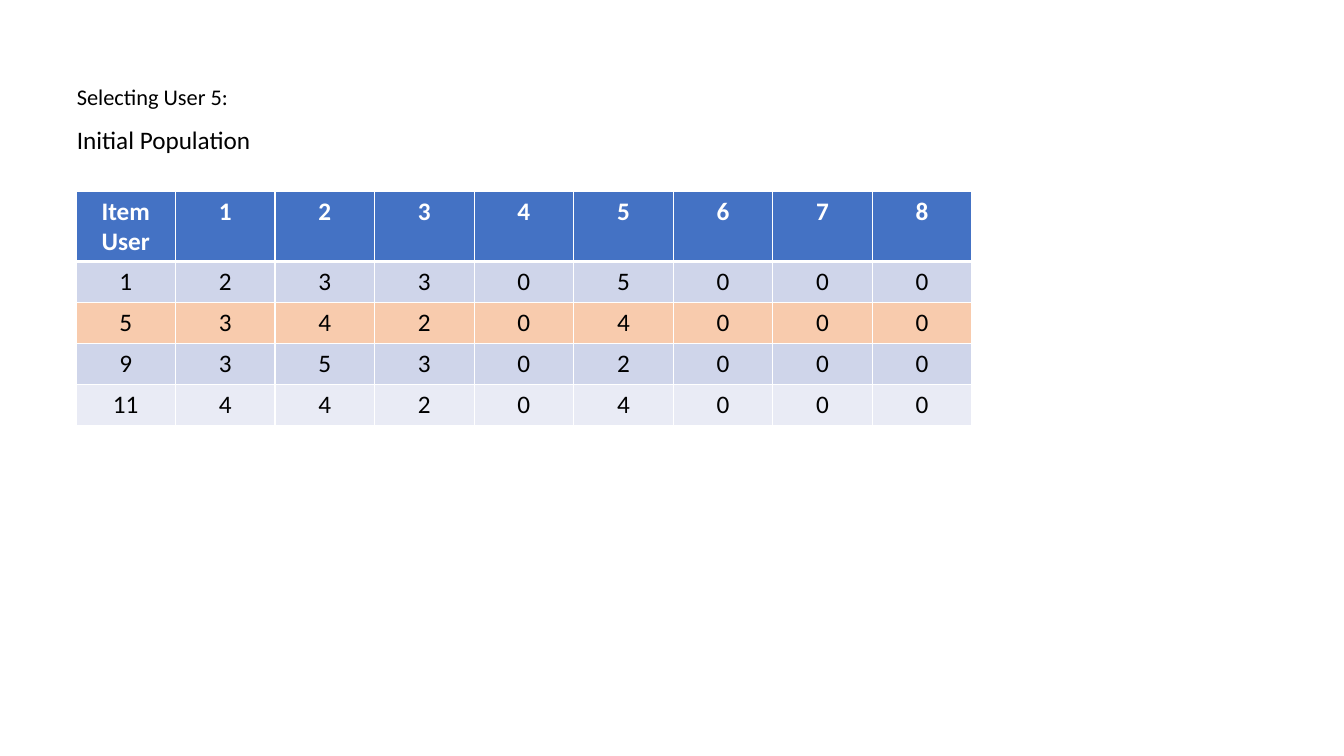
from lxml.etree import SubElement
from pptx import Presentation
from pptx.dml.color import RGBColor
from pptx.enum.text import MSO_AUTO_SIZE, PP_ALIGN
from pptx.oxml.ns import qn
from pptx.util import Pt

PIXEL = 914400 / 100.8
FONT = "Calibri"
BLACK, WHITE, BLUE = "000000", "FFFFFF", "4472C4"
DARK_BAND, LIGHT_BAND, SELECTED = "CFD5EA", "E9EBF5", "F8CBAD"

HEADER = ["Item\nUser", *range(1, 9)]
RATINGS = [
    [1, 2, 3, 3, 0, 5, 0, 0, 0],
    [5, 3, 4, 2, 0, 4, 0, 0, 0],
    [9, 3, 5, 3, 0, 2, 0, 0, 0],
    [11, 4, 4, 2, 0, 4, 0, 0, 0],
]
SELECTED_USER = 5
HEADER_HEIGHT, ROW_HEIGHT = 70, 41


def px(pixels):
    """Turn pixels into EMU."""
    return round(pixels * PIXEL)


def color(hex_code):
    """Turn a hex string into a colour."""
    return RGBColor.from_string(hex_code)


def style(paragraph, size, ink, bold=False):
    """Set the font of a whole paragraph."""
    font = paragraph.font
    font.name, font.size, font.bold = FONT, Pt(size), bold
    font.color.rgb = color(ink)


def add_caption(slide, box, text, size):
    """Place one line of text in the box."""
    frame = slide.shapes.add_textbox(*map(px, box)).text_frame
    frame.word_wrap = True
    frame.auto_size = MSO_AUTO_SIZE.SHAPE_TO_FIT_TEXT
    frame.text = text
    style(frame.paragraphs[0], size, BLACK)


def add_borders(cell, top, bottom):
    """Draw white borders, with top and bottom widths in points."""
    properties = cell._tc.get_or_add_tcPr()
    for side, width in (("L", 1), ("R", 1), ("T", top), ("B", bottom)):
        line = SubElement(properties, qn(f"a:ln{side}"), w=str(Pt(width)))
        fill = SubElement(line, qn("a:solidFill"))
        SubElement(fill, qn("a:srgbClr"), val=WHITE)


def fill_row(cells, values, fill, ink, bold=False, top=1, bottom=1):
    """Write and format one table row."""
    for cell, value in zip(cells, values):
        cell.text = str(value)
        add_borders(cell, top, bottom)
        cell.fill.solid()
        cell.fill.fore_color.rgb = color(fill)
        for paragraph in cell.text_frame.paragraphs:
            paragraph.alignment = PP_ALIGN.CENTER
            style(paragraph, 18, ink, bold)


def add_ratings(slide, box):
    """Place the user-by-item ratings table in the box."""
    table = slide.shapes.add_table(
        len(RATINGS) + 1, len(HEADER), *map(px, box)).table
    header, *users = table.rows
    header.height = px(HEADER_HEIGHT)
    fill_row(header.cells, HEADER, BLUE, WHITE, bold=True, bottom=3)
    for index, (user, values) in enumerate(zip(users, RATINGS)):
        user.height = px(ROW_HEIGHT)
        band = LIGHT_BAND if index % 2 else DARK_BAND
        fill = SELECTED if values[0] == SELECTED_USER else band
        fill_row(user.cells, values, fill, BLACK, top=1 if index else 3)


def build_population_slide(presentation):
    """Add the slide with the initial population of user 5."""
    slide = presentation.slides.add_slide(presentation.slide_layouts[6])
    add_caption(slide, (67, 78, 198, 37), "Selecting User 5:", 16)
    add_caption(slide, (67, 119, 198, 40), "Initial Population", 18)
    table_height = HEADER_HEIGHT + ROW_HEIGHT * len(RATINGS)
    add_ratings(slide, (76, 191, 896, table_height))


presentation = Presentation()
presentation.slide_width, presentation.slide_height = px(1344), px(756)
build_population_slide(presentation)
presentation.save("out.pptx")
